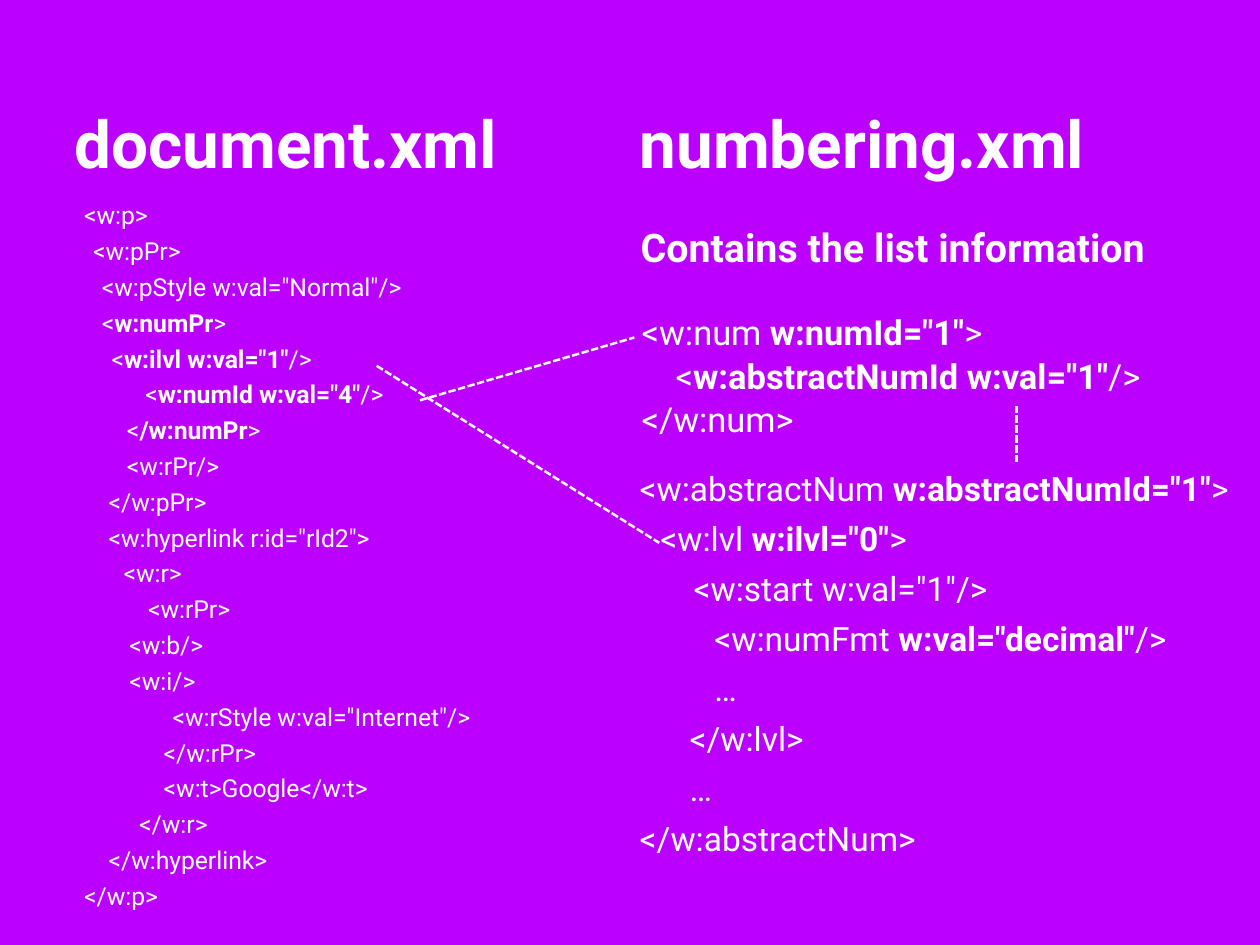
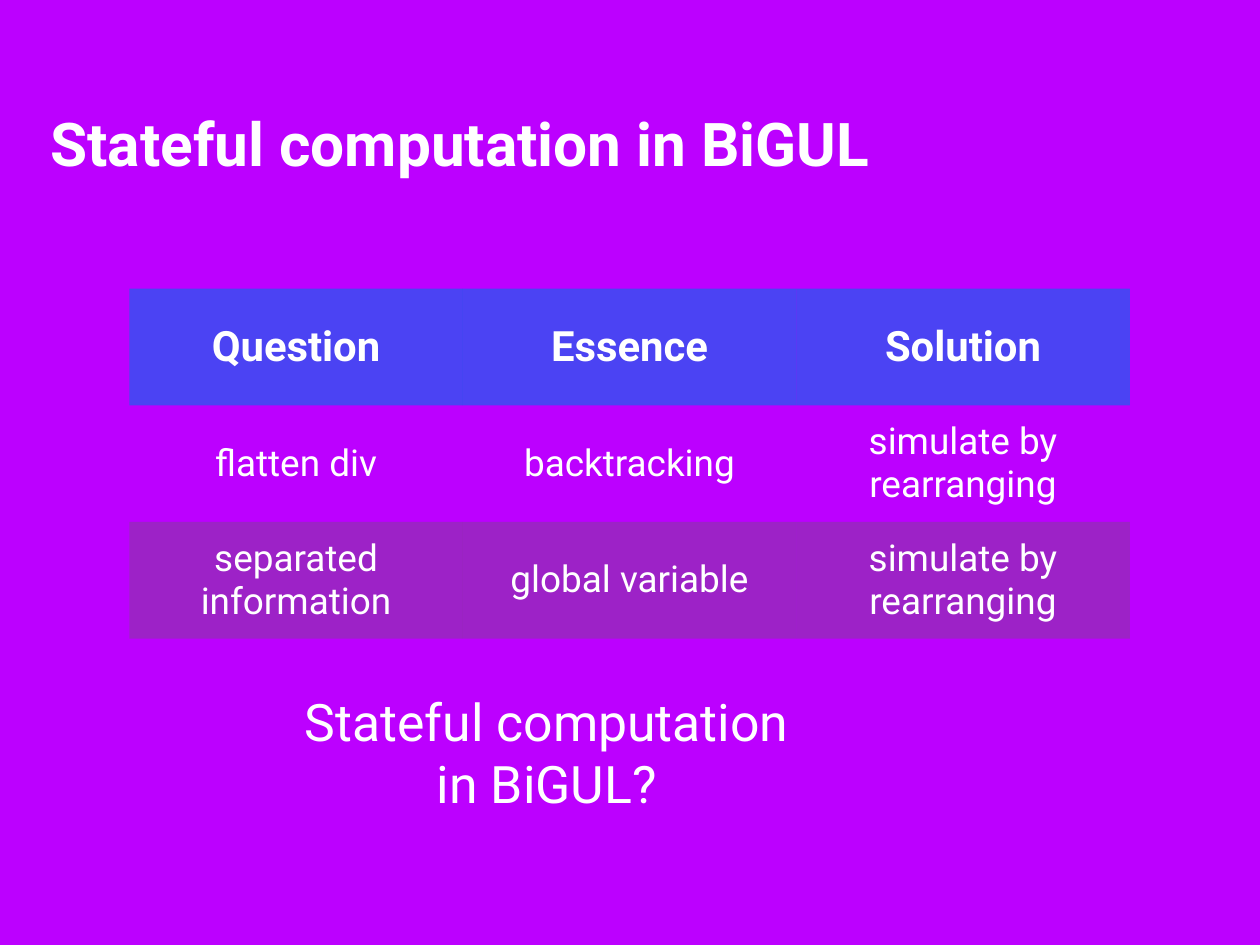
from lxml.etree import SubElement
from pptx import Presentation
from pptx.dml.color import RGBColor
from pptx.enum.dml import MSO_LINE
from pptx.enum.shapes import MSO_CONNECTOR
from pptx.enum.text import MSO_ANCHOR, PP_ALIGN
from pptx.oxml.ns import qn
from pptx.util import Inches, Pt

WIDE, HIGH = Inches(14.22), Inches(10.67)
FONT = "Roboto"
INSET = Inches(0.06)
COLORS = {"back": "BC00FF", "text": "FFFFFF", "head": "0071EB", "band": "676164"}
PLAIN_TABLE = "{2D5ABB26-0587-4C30-8999-92F81FD0307C}"

# Code lines: (indent in inches, text); asterisks enclose bold parts.
DOC_CODE = [
    (0, '<w:p>'),
    (0.1, '<w:pPr>'),
    (0.2, '<w:pStyle w:val="Normal"/>'),
    (0.2, '<*w:numPr*>'),
    (0.31, '<*w:ilvl w:val="1"*/>'),
    (0, '          <*w:numId w:val="4"*/>'),
    (0, '       <*/w:numPr*>'),
    (0, '       <w:rPr/>'),
    (0, '    </w:pPr>'),
    (0, '    <w:hyperlink r:id="rId2">'),
    (0.1, '     <w:r>'),
    (0.1, '         <w:rPr>'),
    (0.51, '<w:b/>'),
    (0.51, '<w:i/>'),
    (0.1, '             <w:rStyle w:val="Internet"/>'),
    (0, '             </w:rPr>'),
    (0, '             <w:t>Google</w:t>'),
    (0, '         </w:r>'),
    (0, '    </w:hyperlink>'),
    (0, '</w:p>'),
]
NUM_CODE = [
    (0, '<w:num *w:numId="1"*>'),
    (0, '    <*w:abstractNumId w:val="1"*/>'),
    (0, '</w:num>'),
]
LIST_CODE = [
    (0, '<w:abstractNum *w:abstractNumId="1"*>'),
    (0.14, ' <w:lvl *w:ilvl="0"*>'),
    (0.14, '     <w:start w:val="1"/>'),
    (0, '         <w:numFmt *w:val="decimal"*/>'),
    (0, '         …'),
    (0, '      </w:lvl>'),
    (0, '      …'),
    (0, '</w:abstractNum>'),
]
ROWS = [
    ["Question", "Essence", "Solution"],
    ["flatten div", "backtracking", "simulate by rearranging"],
    ["separated information", "global variable", "simulate by rearranging"],
]


def color(name):
    return RGBColor.from_string(COLORS[name])


def place(*shares):
    """Turn x, y pairs given in percent of the slide into lengths."""
    return [int((HIGH if i % 2 else WIDE) * s / 100) for i, s in enumerate(shares)]


def style(font, size, bold=False):
    font.name, font.size, font.bold = FONT, Pt(size), bold
    font.color.rgb = color("text")


def add_box(slide, box):
    frame = slide.shapes.add_textbox(*place(*box)).text_frame
    frame.word_wrap = True
    frame.margin_left = frame.margin_right = INSET
    frame.margin_top = frame.margin_bottom = INSET
    return frame


def add_label(slide, box, text, size, bold=False, align=PP_ALIGN.LEFT):
    frame = add_box(slide, box)
    frame.vertical_anchor = MSO_ANCHOR.MIDDLE
    frame.text = text
    line = frame.paragraphs[0]
    line.alignment = align
    style(line.runs[0].font, size, bold)


def add_title(slide, left, width, text, size):
    add_label(slide, (left, 10.31, width, 9.56), text, size, True)


def add_code(slide, box, lines, size, gap):
    frame = add_box(slide, box)
    for i, (indent, text) in enumerate(lines):
        line = frame.add_paragraph() if i else frame.paragraphs[0]
        line.space_before = Pt(gap if i else 0)
        props = line._p.get_or_add_pPr()
        props.set("marL", str(Inches(indent)))
        props.set("indent", "0")
        for j, part in enumerate(text.split("*")):
            run = line.add_run()
            run.text = part
            style(run.font, size, j % 2 == 1)


def add_link(slide, *ends):
    link = slide.shapes.add_connector(MSO_CONNECTOR.STRAIGHT, *place(*ends))
    link.line.color.rgb = color("text")
    link.line.width = Pt(2)
    link.line.dash_style = MSO_LINE.SQUARE_DOT
    SubElement(link._element.spPr, qn("a:effectLst"))


def fill_cell(cell, name, alpha):
    cell.fill.solid()
    cell.fill.fore_color.rgb = color(name)
    tone = cell._tc.tcPr.find(".//" + qn("a:srgbClr"))
    SubElement(tone, qn("a:alpha")).set("val", str(alpha * 1000))


def add_grid(slide, box, rows):
    table = slide.shapes.add_table(len(rows), len(rows[0]), *place(*box)).table
    table.first_row = table.horz_banding = False
    table._tbl.tblPr.find(qn("a:tableStyleId")).text = PLAIN_TABLE
    for r, row in enumerate(rows):
        for c, text in enumerate(row):
            cell = table.cell(r, c)
            cell.text = text
            cell.vertical_anchor = MSO_ANCHOR.MIDDLE
            cell.margin_left = cell.margin_right = INSET
            cell.margin_top = cell.margin_bottom = INSET
            line = cell.text_frame.paragraphs[0]
            line.alignment = PP_ALIGN.CENTER
            style(line.runs[0].font, 30 if r else 34, r == 0)
            if r == 0:
                fill_cell(cell, "head", 60)
            elif r % 2 == 0:
                fill_cell(cell, "band", 36)
            else:
                cell.fill.background()


def add_slide(deck):
    slide = deck.slides.add_slide(deck.slide_layouts[6])
    slide.background.fill.solid()
    slide.background.fill.fore_color.rgb = color("back")
    return slide


def add_files(deck):
    """Two XML files side by side, with links between their ids."""
    slide = add_slide(deck)
    add_title(slide, 5.49, 38.3, "document.xml", 53.3)
    add_title(slide, 50.35, 45, "numbering.xml", 53.3)
    add_label(slide, (50.42, 23.06, 43.04, 6), "Contains the list information", 32, True)
    add_code(slide, (6.26, 20.62, 33.9, 79.38), DOC_CODE, 20.1, 5)
    add_code(slide, (50.5, 32.33, 48.4, 16.87), NUM_CODE, 28, 2)
    add_code(slide, (50.35, 48.92, 49.65, 45.74), LIST_CODE, 27.2, 8)
    add_link(slide, 29.89, 38.71, 52.32, 57.45)
    add_link(slide, 33.33, 42.36, 50.35, 35.71)
    add_link(slide, 80.66, 42.92, 80.66, 48.92)


def add_summary(deck):
    slide = add_slide(deck)
    add_title(slide, 3.59, 70, "Stateful computation in BiGUL", 49)
    add_grid(slide, (10.27, 30.55, 79.4, 37.02), ROWS)
    add_label(slide, (21.73, 75.82, 43.32, 7.5), "Stateful computation in BiGUL?",
              42, align=PP_ALIGN.CENTER)


def main():
    deck = Presentation()
    deck.slide_width, deck.slide_height = WIDE, HIGH
    add_files(deck)
    add_summary(deck)
    deck.save("out.pptx")


if __name__ == "__main__":
    main()
